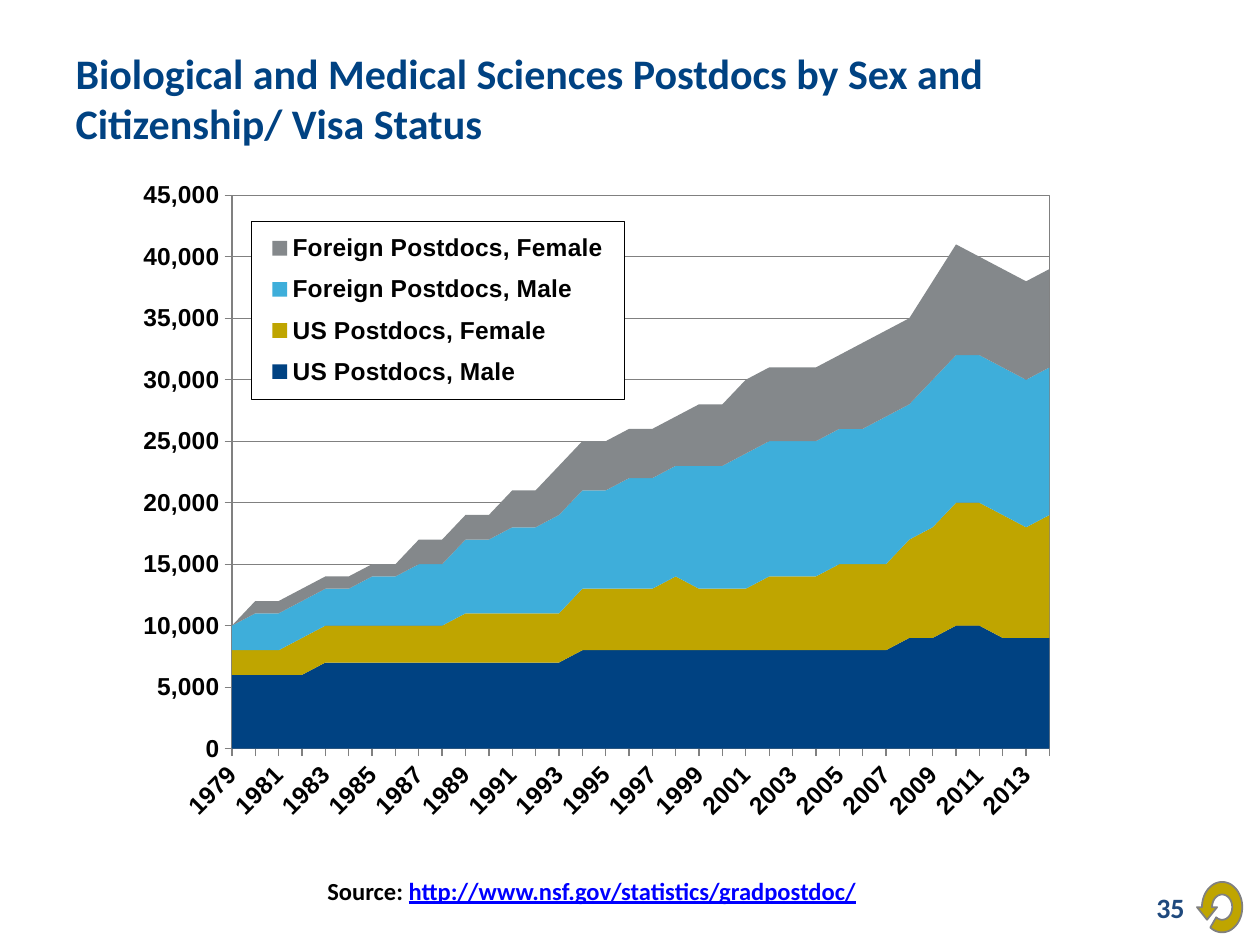
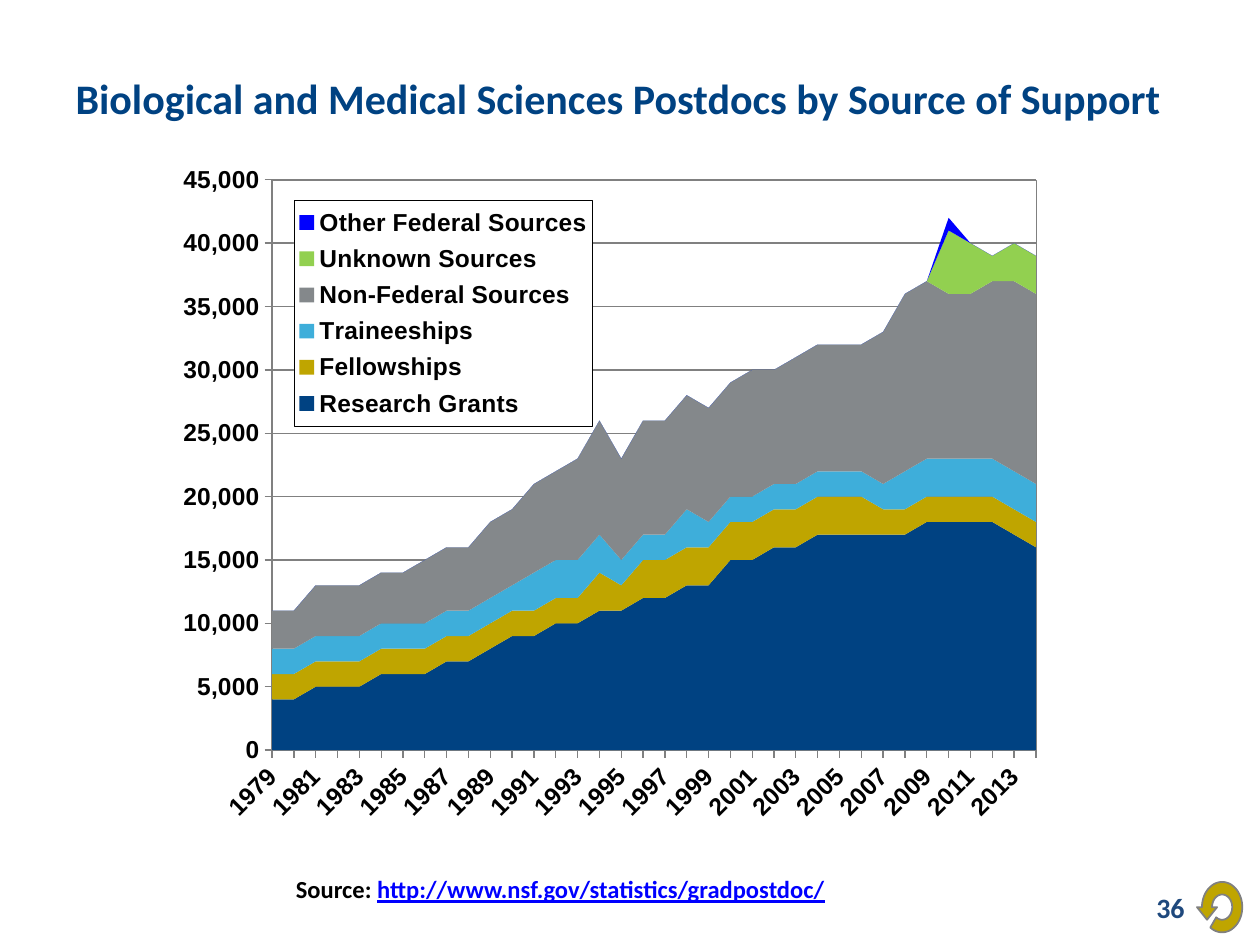
from math import cos, radians, sin

from lxml.etree import SubElement
from pptx import Presentation
from pptx.chart.data import CategoryChartData
from pptx.dml.color import RGBColor
from pptx.enum.chart import XL_CHART_TYPE, XL_LEGEND_POSITION, XL_TICK_MARK
from pptx.enum.text import MSO_ANCHOR, MSO_AUTO_SIZE, PP_ALIGN
from pptx.oxml import parse_xml
from pptx.oxml.ns import nsdecls, qn
from pptx.util import Inches, Pt

CELL = 0.5  # inches; the slide is a grid of 20 columns by 15 rows
COLUMNS, ROWS = 20, 15
TITLE_ONLY = 5

COLORS = {
    "navy": "004282", "gold": "BFA500", "sky": "3EAEDA", "gray": "84888B",
    "green": "92D050", "blue": "0000FE", "link": "0000FF", "number": "1F497D",
    "line": "808080", "black": "000000", "white": "FFFFFF",
}
YEARS = [str(year) for year in range(1979, 2015)]
SOURCE_ADDRESS = "http://www.nsf.gov/statistics/gradpostdoc/"


def color(name):
    """Return a named colour of the palette."""
    return RGBColor.from_string(COLORS[name])


def thousands(text):
    """Turn a list of thousands into values."""
    return [int(number) * 1000 for number in text.split()]


def since_2010(text):
    """Values for the last years only; earlier years stay blank."""
    values = thousands(text)
    return [None] * (len(YEARS) - len(values)) + values


def outline(fill, line, width):
    """Return chart shape properties with a fill and a line in points."""
    paint = f'<a:solidFill><a:srgbClr val="{COLORS[fill]}"/></a:solidFill>' if fill else "<a:noFill/>"
    return parse_xml(
        f'<c:spPr {nsdecls("c", "a")}>{paint}<a:ln w="{Pt(width)}"><a:solidFill>'
        f'<a:srgbClr val="{COLORS[line]}"/></a:solidFill></a:ln></c:spPr>')


def manual_layout(box, inner=False):
    """Return a manual chart layout from shares of the chart's size."""
    layout = parse_xml(f'<c:layout {nsdecls("c")}><c:manualLayout/></c:layout>')
    settings = [("layoutTarget", "inner")] if inner else []
    settings += [("xMode", "edge"), ("yMode", "edge"), *zip("xywh", box)]
    for tag, value in settings:
        SubElement(layout[0], qn(f"c:{tag}")).set("val", str(value))
    return layout


class Deck:
    """Holds the shared style and the current slide."""

    def __init__(self):
        """Start an empty presentation."""
        self.presentation = Presentation()
        self.presentation.slide_width = Inches(COLUMNS * CELL)
        self.presentation.slide_height = Inches(ROWS * CELL)
        self.slide = None

    def frame(self, column, row, columns, rows):
        """Turn grid units into left, top, width and height."""
        return [Inches(units * CELL) for units in (column, row, columns, rows)]

    def add_run(self, paragraph, text, size, tint, underline=None):
        """Add one bold Calibri run."""
        run = paragraph.add_run()
        run.text = text
        run.font.name = "Calibri"
        run.font.size = Pt(size)
        run.font.bold = True
        run.font.underline = underline
        run.font.color.rgb = color(tint)

    def add_slide(self, title, number):
        """Add a slide with its title, page number and return arrow."""
        layout = self.presentation.slide_layouts[TITLE_ONLY]
        self.slide = self.presentation.slides.add_slide(layout)
        shape = self.slide.shapes.title
        shape.left, shape.top, shape.width, shape.height = self.frame(1, 0.6, 18, 1.9)
        text_frame = shape.text_frame
        text_frame.auto_size = MSO_AUTO_SIZE.NONE
        text_frame.vertical_anchor = MSO_ANCHOR.MIDDLE
        paragraph = text_frame.paragraphs[0]
        paragraph.alignment = PP_ALIGN.LEFT
        self.add_run(paragraph, title, 24, "navy")
        self.add_page_number(number)
        self.add_return_arrow()

    def add_page_number(self, number):
        """Write the page number at the lower right."""
        text_frame = self.slide.shapes.add_textbox(*self.frame(14.34, 14, 4.66, 0.8)).text_frame
        text_frame.word_wrap = True
        text_frame.vertical_anchor = MSO_ANCHOR.MIDDLE
        paragraph = text_frame.paragraphs[0]
        paragraph.alignment = PP_ALIGN.RIGHT
        self.add_run(paragraph, str(number), 16, "number")

    def add_return_arrow(self):
        """Draw the round arrow: two elliptic arcs and an arrowhead."""
        def arc(radius_x, radius_y, angles):
            return [(19.4 + radius_x * cos(radians(angle)), 14.4 + radius_y * sin(radians(angle)))
                    for angle in angles]

        sweep = range(180, 488, 6)
        points = arc(0.16, 0.2, sweep) + arc(0.32, 0.4, reversed(sweep))
        points += [(19, 14.4), (19.16, 14.6), (19.32, 14.4)]
        points = [(Inches(x * CELL), Inches(y * CELL)) for x, y in points]
        builder = self.slide.shapes.build_freeform(*points[0])
        builder.add_line_segments(points[1:], close=True)
        shape = builder.convert_to_shape()
        shape.shadow.inherit = False
        shape.fill.solid()
        shape.fill.fore_color.rgb = color("gold")
        shape.line.color.rgb = color("line")
        shape.line.width = Pt(1)

    def add_source(self, column, row):
        """Write the source line."""
        text_frame = self.slide.shapes.add_textbox(*self.frame(column, row, 17.66, 0.68)).text_frame
        text_frame.word_wrap = True
        text_frame.auto_size = MSO_AUTO_SIZE.SHAPE_TO_FIT_TEXT
        paragraph = text_frame.paragraphs[0]
        self.add_run(paragraph, "Source: ", 14, "black")
        self.add_run(paragraph, SOURCE_ADDRESS, 14, "link", underline=True)

    def add_area_chart(self, place, plot_box, legend_box, series):
        """Add a stacked area chart of (name, colour, values) by year."""
        data = CategoryChartData(number_format="#,##0")
        data.categories = YEARS
        for name, _, values in series:
            data.add_series(name, values)
        chart = self.slide.shapes.add_chart(
            XL_CHART_TYPE.AREA_STACKED, *self.frame(*place), data).chart
        chart.has_title = False
        chart.font.name = "Calibri"
        chart.font.size = Pt(18)
        chart.font.color.rgb = color("black")
        for area, (_, tint, _) in zip(chart.plots[0].series, series):
            area.format.fill.solid()
            area.format.fill.fore_color.rgb = color(tint)
            area.format.line.fill.background()
        self.style_axes(chart)
        self.style_legend(chart, legend_box)

        plot_area = chart.plots[0]._element.getparent()
        for layout in plot_area.findall(qn("c:layout")):
            plot_area.remove(layout)
        plot_area.insert(0, manual_layout(plot_box, inner=True))
        plot_area.append(outline(None, "line", 0.25))
        for blanks in plot_area.getparent().findall(qn("c:dispBlanksAs")):
            blanks.set("val", "zero")

    def style_font(self, font):
        """Set the bold Arial of axes and legends."""
        font.name = "Arial"
        font.size = Pt(14)
        font.bold = True
        font.color.rgb = color("black")

    def style_axes(self, chart):
        """Format both axes, with slanted labels for every second year."""
        years, amounts = chart.category_axis, chart.value_axis
        for axis in (years, amounts):
            self.style_font(axis.tick_labels.font)
            axis.major_tick_mark = XL_TICK_MARK.OUTSIDE
            axis.minor_tick_mark = XL_TICK_MARK.NONE
            axis.format.line.color.rgb = color("line")
        years.has_major_gridlines = False
        slant = years._element.find(qn("c:txPr")).find(qn("a:bodyPr"))
        slant.set("rot", "-2700000")
        slant.set("vert", "horz")
        skip = parse_xml(f'<c:tickLblSkip {nsdecls("c")} val="2"/>')
        years._element.find(qn("c:noMultiLvlLbl")).addprevious(skip)

        amounts.minimum_scale, amounts.maximum_scale = 0, 45000
        amounts.major_unit = 5000
        amounts.has_major_gridlines = True
        amounts.major_gridlines.format.line.color.rgb = color("line")
        amounts.tick_labels.number_format = "#,##0"
        amounts.tick_labels.number_format_is_linked = False
        amounts._element.find(qn("c:crossBetween")).set("val", "midCat")

    def style_legend(self, chart, box):
        """Place a framed legend over the plot."""
        chart.has_legend = True
        legend = chart.legend
        legend.position = XL_LEGEND_POSITION.RIGHT
        legend.include_in_layout = True
        self.style_font(legend.font)
        element = legend._element
        for layout in element.findall(qn("c:layout")):
            element.remove(layout)
        element.find(qn("c:legendPos")).addnext(manual_layout(box))
        element.find(qn("c:txPr")).addprevious(outline("white", "black", 0.25))


BY_SEX = [
    ("US Postdocs, Male", "navy", thousands(
        "6 6 6 6 7 7 7 7 7 7 7 7 7 7 7 8 8 8 "
        "8 8 8 8 8 8 8 8 8 8 8 9 9 10 10 9 9 9")),
    ("US Postdocs, Female", "gold", thousands(
        "2 2 2 3 3 3 3 3 3 3 4 4 4 4 4 5 5 5 "
        "5 6 5 5 5 6 6 6 7 7 7 8 9 10 10 10 9 10")),
    ("Foreign Postdocs, Male", "sky", thousands(
        "2 3 3 3 3 3 4 4 5 5 6 6 7 7 8 8 8 9 "
        "9 9 10 10 11 11 11 11 11 11 12 11 12 12 12 12 12 12")),
    ("Foreign Postdocs, Female", "gray", thousands(
        "0 1 1 1 1 1 1 1 2 2 2 2 3 3 4 4 4 4 "
        "4 4 5 5 6 6 6 6 6 7 7 7 8 9 8 8 8 8")),
]
BY_SUPPORT = [
    ("Research Grants", "navy", thousands(
        "4 4 5 5 5 6 6 6 7 7 8 9 9 10 10 11 11 12 "
        "12 13 13 15 15 16 16 17 17 17 17 17 18 18 18 18 17 16")),
    ("Fellowships", "gold", thousands(
        "2 2 2 2 2 2 2 2 2 2 2 2 2 2 2 3 2 3 "
        "3 3 3 3 3 3 3 3 3 3 2 2 2 2 2 2 2 2")),
    ("Traineeships", "sky", thousands(
        "2 2 2 2 2 2 2 2 2 2 2 2 3 3 3 3 2 2 "
        "2 3 2 2 2 2 2 2 2 2 2 3 3 3 3 3 3 3")),
    ("Non-Federal Sources", "gray", thousands(
        "3 3 4 4 4 4 4 5 5 5 6 6 7 7 8 9 8 9 "
        "9 9 9 9 10 9 10 10 10 10 12 14 14 13 13 14 15 15")),
    ("Unknown Sources", "green", since_2010("5 4 2 3 3")),
    ("Other Federal Sources", "blue", since_2010("1 0 0 0 0")),
]

deck = Deck()
deck.add_slide("Biological and Medical Sciences Postdocs by Sex and Citizenship/ Visa Status", 35)
deck.add_area_chart((1, 2.66, 18, 10.74), (0.149, 0.041, 0.721, 0.818),
                    (0.166, 0.079, 0.329, 0.263), BY_SEX)
deck.add_source(5, 13.8)

deck.add_slide("Biological and Medical Sciences Postdocs by Source of Support", 36)
deck.add_area_chart((2.5, 2.5, 19.34, 10.74), (0.094, 0.033, 0.627, 0.843),
                    (0.112, 0.063, 0.245, 0.334), BY_SUPPORT)
deck.add_source(4.5, 13.78)

deck.presentation.save("out.pptx")
